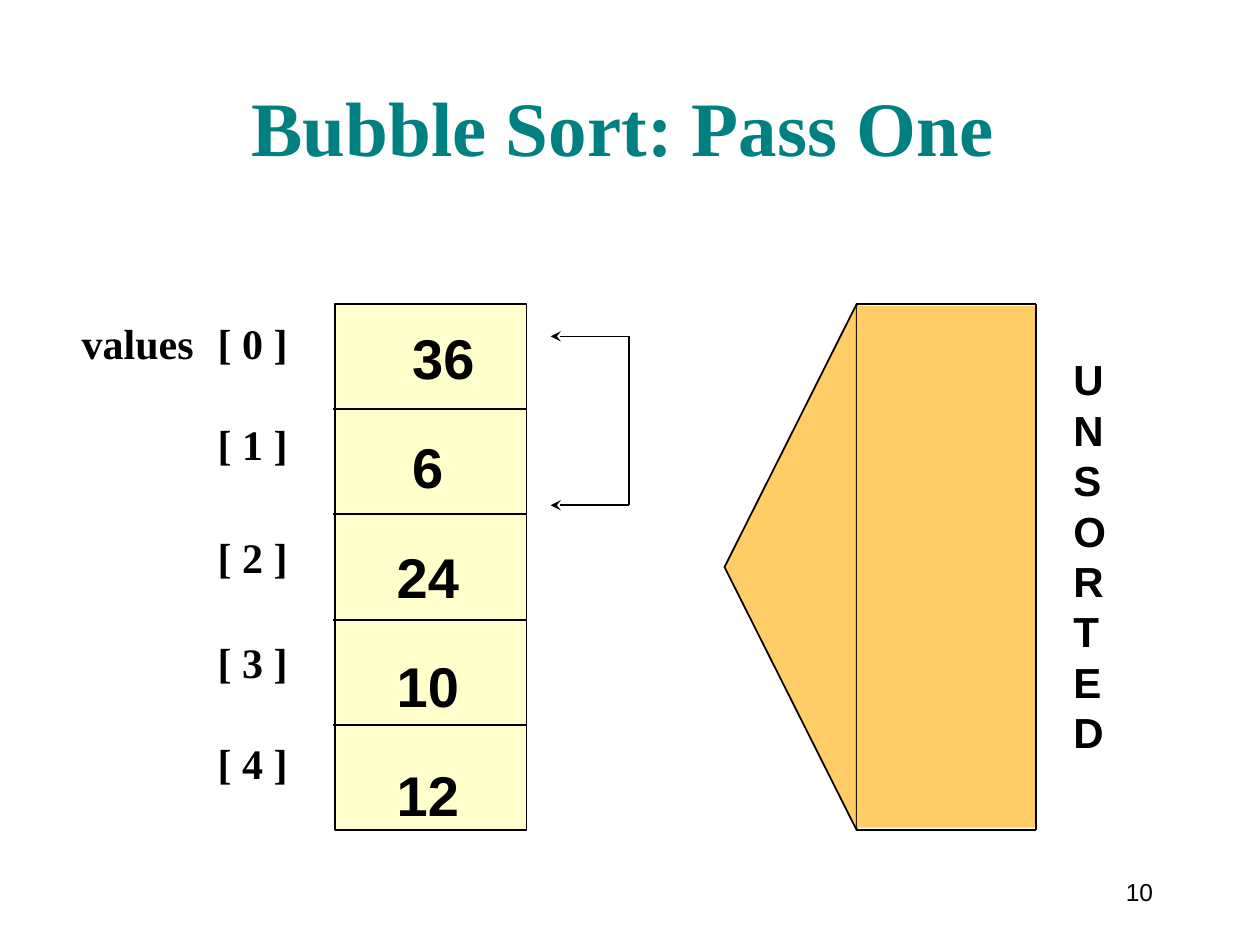
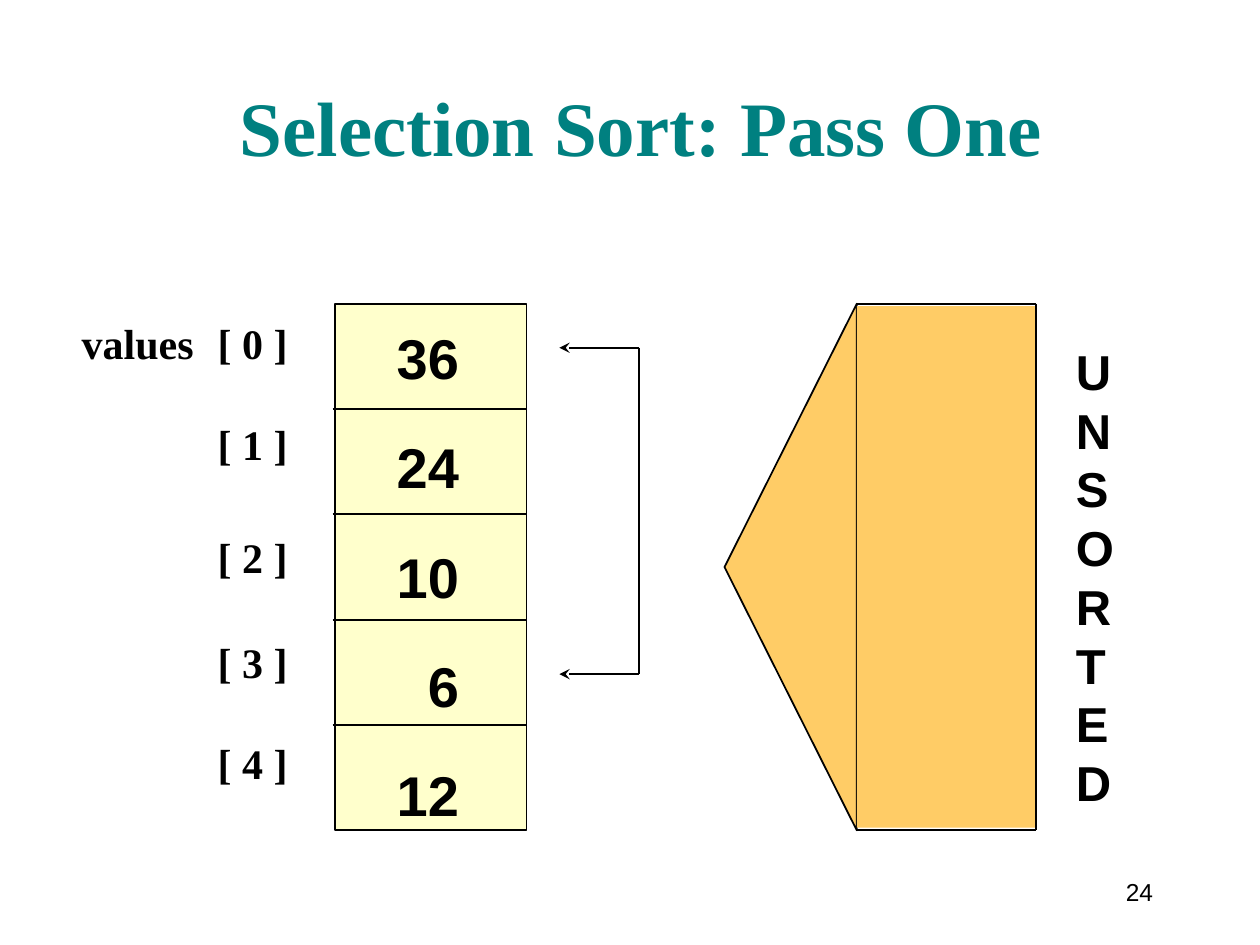
from lxml.etree import SubElement
from pptx import Presentation
from pptx.dml.color import RGBColor
from pptx.enum.shapes import MSO_CONNECTOR, MSO_SHAPE
from pptx.enum.text import MSO_ANCHOR, PP_ALIGN
from pptx.oxml.ns import qn
from pptx.util import Inches, Pt

WIDTH, HEIGHT = Inches(10), Inches(7.5)
COL, ROW = WIDTH / 100, HEIGHT / 75
BLACK = RGBColor(0x00, 0x00, 0x00)
TEAL = RGBColor(0x00, 0x80, 0x80)
CREAM = RGBColor(0xFF, 0xFF, 0xCC)
ORANGE = RGBColor(0xFF, 0xCC, 0x66)
SANS, SERIF = "Arial", "Times New Roman"
LEADING = 1.2
INDEX_GAPS = (0, 28.8, 36, 31.2, 28.8)
VALUE_GAPS = (0, 24, 24, 24, 24)

SLIDES = (
    dict(title="Bubble Sort: Pass One", title_box=(8, 1.6, 82.9, 12.5), number="10",
         values=("36", "6", "24", "10", "12"), indents=(1.23, 1.23, 0, 0, 0),
         bracket=(43.7, 26.7, 6.2, 13.4), state_box=(84.2, 27.6, 4.6, 33), state_size=24),
    dict(title="Selection Sort: Pass One", title_box=(14.5, 1.6, 72.8, 12.5), number="24",
         values=("36", "24", "10", "6", "12"), indents=(0, 0, 0, 2.47, 0),
         bracket=(44.4, 27.6, 6.3, 25.9), state_box=(84.4, 26.6, 5, 38.4), state_size=28),
)


def grid(x, y, w, h):
    """Turn columns and rows into slide lengths."""
    return round(x * COL), round(y * ROW), round(w * COL), round(h * ROW)


def add_text(slide, box, lines, size=24, font=SANS, color=BLACK, bold=True,
             align=PP_ALIGN.LEFT, anchor=MSO_ANCHOR.TOP, gaps=None, indents=None, wrap=False):
    """Write one paragraph per line, with optional gaps (points) and indents (columns)."""
    tf = slide.shapes.add_textbox(*grid(*box)).text_frame
    tf.word_wrap = wrap
    tf.vertical_anchor = anchor
    for i, line in enumerate(lines):
        p = tf.paragraphs[0] if i == 0 else tf.add_paragraph()
        p.alignment = align
        p.line_spacing = Pt(size * LEADING)
        if gaps:
            p.space_before = Pt(gaps[i])
        if indents and indents[i]:
            p._p.get_or_add_pPr().set("marL", str(round(indents[i] * COL)))
        r = p.add_run()
        r.text = line
        r.font.size, r.font.name, r.font.bold = Pt(size), font, bold
        r.font.color.rgb = color


def add_block(slide, kind, box, fill, outlined=True, rotation=0):
    """Draw a filled preset shape."""
    sp = slide.shapes.add_shape(kind, *grid(*box))
    sp.shadow.inherit = False
    sp.rotation = rotation
    sp.fill.solid()
    sp.fill.fore_color.rgb = fill
    if outlined:
        sp.line.color.rgb = BLACK
        sp.line.width = Pt(1)
    else:
        sp.line.fill.background()


def add_line(slide, x1, y1, x2, y2, arrow=False):
    """Draw a thin line, with an arrowhead at its start if asked."""
    line = slide.shapes.add_connector(MSO_CONNECTOR.STRAIGHT, *grid(x1, y1, x2, y2))
    line.line.color.rgb = BLACK
    line.line.width = Pt(1)
    if arrow:
        SubElement(line.line._get_or_add_ln(), qn("a:headEnd"), type="stealth")
    SubElement(line._element.spPr, qn("a:effectLst"))


def add_frame(slide, title, title_box, number):
    """Add the slide title and number."""
    add_text(slide, title_box, [title], size=44, font=SERIF, color=TEAL,
             align=PP_ALIGN.CENTER, anchor=MSO_ANCHOR.BOTTOM, wrap=True)
    add_text(slide, (85.8, 68.3, 6.7, 5), [number], size=14, bold=False,
             align=PP_ALIGN.RIGHT, anchor=MSO_ANCHOR.MIDDLE, wrap=True)


def add_array(slide, box, values, indents):
    """Draw the array cells with their name, indices and values."""
    x, y, w, h = box
    add_text(slide, (x - 21.1, y + 0.6, 11, 5), ["values"], font=SERIF)
    add_text(slide, (x - 10.3, y + 0.6, 8, h), [f"[ {i} ]" for i in range(len(values))],
             font=SERIF, gaps=INDEX_GAPS)
    add_block(slide, MSO_SHAPE.RECTANGLE, box, CREAM)
    for i in range(1, len(values)):
        divider = y + h * i / len(values)
        add_line(slide, x - 0.2, divider, x + w, divider)
    add_text(slide, (x + 3.9, y + 1.1, 8.2, 41), values, size=32,
             gaps=VALUE_GAPS, indents=indents)


def add_pointer(slide, box):
    """Draw the large pentagon that points at the unsorted cells."""
    x, y, w, h = box
    tip = 10.5
    body, right = x + tip, x + w
    add_block(slide, MSO_SHAPE.ISOSCELES_TRIANGLE,
              (x + (tip - h) / 2, y + (h - tip) / 2, h, tip), ORANGE, rotation=270)
    add_block(slide, MSO_SHAPE.RECTANGLE, (body, y + 0.2, w - tip, h - 0.4),
              ORANGE, outlined=False)
    for edge in (y, y + h):
        add_line(slide, body, edge, right, edge)
    add_line(slide, right, y, right, y + h)


def add_swap_bracket(slide, box):
    """Join the two cells to be exchanged with a two-headed bracket."""
    x, y, w, h = box
    add_line(slide, x + w, y, x + w, y + h)
    for level in (y, y + h):
        add_line(slide, x, level, x + w, level, arrow=True)


def add_pass_slide(prs, title, title_box, number, values, indents,
                   bracket, state_box, state_size):
    """Build one slide showing the first pass of a sort."""
    slide = prs.slides.add_slide(prs.slide_layouts[6])
    add_frame(slide, title, title_box, number)
    add_array(slide, (26.6, 24.1, 15.2, 41.8), values, indents)
    add_pointer(slide, (57.5, 24.1, 24.7, 41.8))
    add_text(slide, state_box, "UNSORTED", size=state_size)
    add_swap_bracket(slide, bracket)


def main():
    """Build and save the presentation."""
    prs = Presentation()
    prs.slide_width, prs.slide_height = WIDTH, HEIGHT
    for content in SLIDES:
        add_pass_slide(prs, **content)
    prs.save("out.pptx")


if __name__ == "__main__":
    main()
